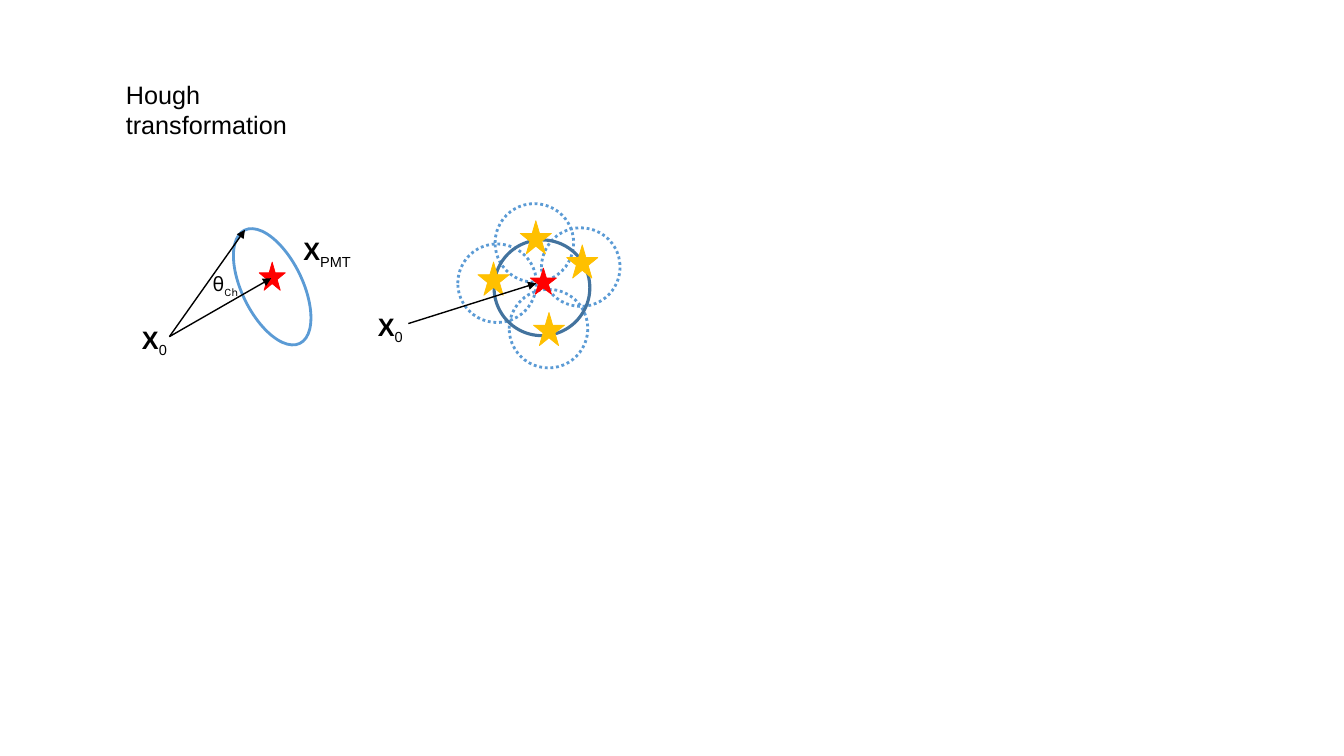
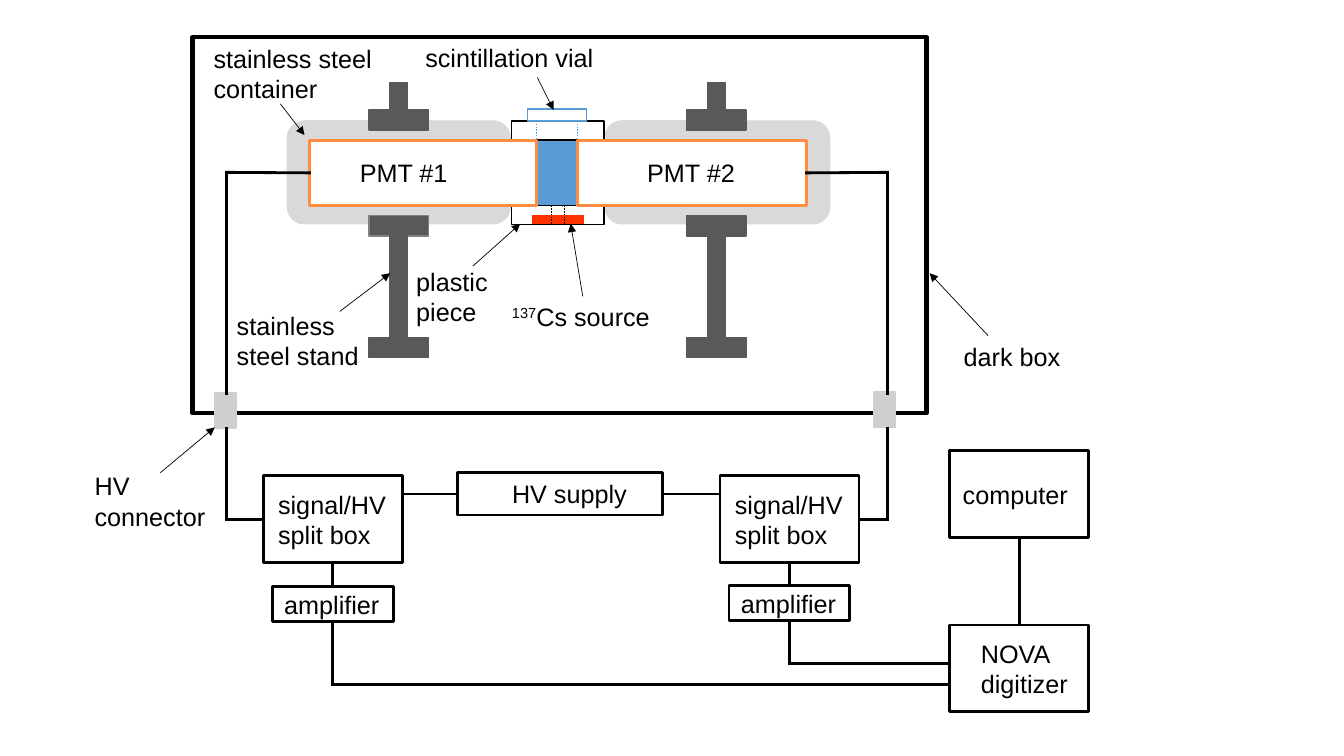
"""Builds two slides: a Hough transformation sketch and a photomultiplier test setup."""
from itertools import pairwise

from lxml import etree
from pptx import Presentation, util as u
from pptx.dml.color import RGBColor
from pptx.enum import dml, shapes, text
from pptx.oxml import ns

PX = 9144
SIZE = (1333, 750)
BLACK, WHITE, RED, GOLD = "000000", "FFFFFF", "FF0000", "FFC000"
BLUE, DEEP_BLUE, ORANGE, SOURCE_RED = "5B9BD5", "43739E", "FF8D41", "FF3300"
STEEL, STEEL_EDGE, SHELL, SOCKET = "595959", "808080", "D9D9D9", "D0CECE"
SHAPE = shapes.MSO_SHAPE
BOLD_X = ("X", True, 0)
X_ZERO = [[BOLD_X, ("0", False, -25)]]
X_PMT = [[BOLD_X, ("PMT", False, -25)]]
THETA = [[("θ", False, 0), ("Ch", False, -25)]]

HOUGH_LABELS = [
    ((115, 74, 260, 40), ["Hough transformation"], False),
    ((131, 317, 57, 40), X_ZERO, True),
    ((291, 229, 74, 40), X_PMT, True),
    ((365, 304, 50, 40), X_ZERO, False),
]
CONE_EDGES = [((168, 334), (269, 276)), ((168, 334), (243, 228))]
VOTE_ARROW = ((405, 321), (532, 281))
VOTE_CIRCLES = [(454, 242), (505, 287), (537, 226), (491, 202)]
HIT_STARS = [(529, 310), (562, 243), (516, 219), (474, 260)]

SETUP_PARTS = [
    (SHAPE.RECTANGLE, (191, 37, 728, 373), None, BLACK, 3),
    (SHAPE.RECTANGLE, (532, 120, 40, 83), BLUE, BLUE, 1),
    (SHAPE.ROUNDED_RECTANGLE, (285, 120, 221, 102), SHELL, SHELL, 1),
    (SHAPE.ROUNDED_RECTANGLE, (600, 120, 223, 102), SHELL, SHELL, 1),
    (SHAPE.RECTANGLE, (507, 204, 92, 19), WHITE, BLACK, 1),
    (SHAPE.RECTANGLE, (507, 120, 92, 19), WHITE, BLACK, 1),
    (SHAPE.RECTANGLE, (307, 139, 225, 65), WHITE, ORANGE, 2),
    (SHAPE.RECTANGLE, (573, 139, 227, 65), WHITE, ORANGE, 2),
    (SHAPE.RECTANGLE, (528, 214, 51, 8), SOURCE_RED, SOURCE_RED, 1),
    (SHAPE.RECTANGLE, (523, 108, 59, 12), WHITE, BLUE, 1),
    (SHAPE.RECTANGLE, (213, 390, 21, 35), SOCKET, SOCKET, 1),
    (SHAPE.RECTANGLE, (867, 389, 21, 35), SOCKET, SOCKET, 1),
]
STANDS = [(366, STEEL_EDGE), (681, STEEL)]
CLAMP, SADDLE, FOOT = 109, 214, 335
POSTS = [(82, 38), (234, 106)]
DOTTED = [
    (547, 204, 222, BLACK), (560, 204, 222, BLACK),
    (532, 138, 120, BLUE), (573, 138, 120, BLUE),
]
DEVICES = [
    (454, 469, 203, 42),
    (270, 582, 120, 35), (723, 581, 120, 35),
    (261, 472, 138, 86), (714, 472, 138, 86),
    (942, 620, 138, 86), (942, 447, 138, 86),
]
WIRES = [
    [(307, 171), (225, 171), (225, 390)],
    [(225, 425), (225, 515), (261, 515)],
    [(800, 171), (880, 171), (880, 390)],
    [(880, 425), (880, 515), (852, 515)],
    [(399, 490), (454, 490)],
    [(657, 490), (714, 490)],
    [(330, 582), (330, 558)],
    [(783, 581), (783, 558)],
    [(330, 617), (330, 679), (942, 679)],
    [(783, 616), (783, 658), (942, 658)],
    [(1011, 620), (1011, 533)],
]
POINTERS = [
    ((159, 469), (213, 424)), ((980, 333), (922, 271)),
    ((578, 294), (566, 222)), ((533, 77), (549, 109)),
    ((469, 264), (516, 222)), ((278, 103), (302, 134)),
    ((337, 309), (387, 271)),
]
AMPLIFIER, SPLIT_BOX = ["amplifier"], ["signal/HV", "split box"]
SETUP_LABELS = [
    ((946, 334, 116, 40), ["dark box"], False),
    ((84, 462, 130, 71), ["HV", "connector"], False),
    ((347, 151, 107, 40), ["PMT #1"], False),
    ((632, 151, 107, 40), ["PMT #2"], False),
    ((498, 294, 160, 40), [[("137", False, 30), ("Cs source", False, 0)]], False),
    ((412, 37, 187, 40), ["scintillation vial"], False),
    ((403, 259, 157, 40), ["plastic piece"], False),
    ((202, 38, 177, 71), ["stainless steel", "container"], False),
    ((225, 303, 146, 71), ["stainless steel stand"], True),
    ((272, 580, 118, 40), AMPLIFIER, True),
    ((725, 579, 118, 40), AMPLIFIER, True),
    ((266, 480, 127, 71), SPLIT_BOX, False),
    ((719, 480, 127, 71), SPLIT_BOX, False),
    ((498, 470, 222, 40), ["HV supply"], True),
    ((963, 628, 132, 71), ["NOVA", "digitizer"], True),
    ((945, 471, 132, 40), ["computer"], True),
]


def rgb(value):
    return RGBColor.from_string(value)


def emu(lengths):
    return [u.Emu(length * PX) for length in lengths]


def style_line(line, color, width, dotted=False):
    line.color.rgb = rgb(color)
    line.width = u.Pt(width)
    if dotted:
        line.dash_style = dml.MSO_LINE.ROUND_DOT


def add_part(slide, preset, box, fill, color, width, dotted=False):
    part = slide.shapes.add_shape(preset, *emu(box))
    part.shadow.inherit = False
    if fill:
        part.fill.solid()
        part.fill.fore_color.rgb = rgb(fill)
    else:
        part.fill.background()
    style_line(part.line, color, width, dotted)
    return part


def add_line(slide, start, end, color=BLACK, width=1.0, dotted=False, arrow=False):
    line = slide.shapes.add_connector(shapes.MSO_CONNECTOR.STRAIGHT, *emu(start + end))
    style_line(line.line, color, width, dotted)
    outline = line.get_or_add_ln()
    if arrow:
        etree.SubElement(outline, ns.qn("a:tailEnd"), type="triangle")
    elif not dotted:
        outline.set("cap", "sq")
    etree.SubElement(outline.getparent(), ns.qn("a:effectLst"))
    return line


def add_label(slide, box, lines, wrap, font="Arial", size=18):
    frame = slide.shapes.add_textbox(*emu(box)).text_frame
    frame.word_wrap = wrap
    frame.auto_size = text.MSO_AUTO_SIZE.SHAPE_TO_FIT_TEXT
    for number, line in enumerate(lines):
        paragraph = frame.add_paragraph() if number else frame.paragraphs[0]
        paragraph.font.name = font
        paragraph.font.size = u.Pt(size)
        paragraph.font.color.rgb = rgb(BLACK)
        for words, bold, baseline in [(line, False, 0)] if isinstance(line, str) else line:
            run = paragraph.add_run()
            run.text = words
            if bold:
                run.font.bold = True
            if baseline:
                run._r.get_or_add_rPr().set("baseline", str(baseline * 1000))


def find_side(point, parts):
    for part in parts:
        x, y, w, h = (v / PX for v in (part.left, part.top, part.width, part.height))
        middles = [(x + w / 2, y), (x, y + h / 2), (x + w / 2, y + h), (x + w, y + h / 2)]
        for side, (mx, my) in enumerate(middles):
            if abs(mx - point[0]) <= 1 and abs(my - point[1]) <= 1:
                return part, side
    return None


def add_wire(slide, points, parts):
    for start, end in pairwise(points):
        segment = add_line(slide, start, end, width=2)
        begin_side, end_side = find_side(start, parts), find_side(end, parts)
        if begin_side:
            segment.begin_connect(*begin_side)
        if end_side:
            segment.end_connect(*end_side)


def build_hough(slide):
    ring = add_part(slide, SHAPE.OVAL, (240, 222, 60, 125), None, BLUE, 2)
    ring.rotation = 334
    add_part(slide, SHAPE.STAR_5_POINT, (257, 260, 26, 28), RED, RED, 0.5)
    for start, end in CONE_EDGES:
        add_line(slide, start, end, arrow=True)
    for x, y in VOTE_CIRCLES:
        add_part(slide, SHAPE.OVAL, (x, y, 78, 78), None, BLUE, 2, dotted=True)
    add_part(slide, SHAPE.STAR_5_POINT, (526, 266, 26, 26), RED, RED, 0.5)
    add_part(slide, SHAPE.OVAL, (490, 238, 95, 95), None, DEEP_BLUE, 2.25)
    for x, y in HIT_STARS:
        add_part(slide, SHAPE.STAR_5_POINT, (x, y, 31, 33), GOLD, GOLD, 0.5)
    add_line(slide, *VOTE_ARROW, arrow=True)
    for label in HOUGH_LABELS:
        add_label(slide, *label)
    add_label(slide, (201, 265, 59, 34), THETA, True, "Karla", 14)


def build_setup(slide):
    parts = [add_part(slide, *part) for part in SETUP_PARTS]
    for x, saddle_edge in STANDS:
        for y, edge in [(CLAMP, STEEL), (SADDLE, saddle_edge), (FOOT, STEEL)]:
            add_part(slide, SHAPE.RECTANGLE, (x, y, 59, 20), STEEL, edge, 1)
        for y, height in POSTS:
            add_part(slide, SHAPE.RECTANGLE, (x + 21, y, 17, height), STEEL, STEEL, 1)
    for x, top, bottom, color in DOTTED:
        add_line(slide, (x, top), (x, bottom), color, dotted=True)
    parts += [add_part(slide, SHAPE.RECTANGLE, box, None, BLACK, 2) for box in DEVICES]
    for points in WIRES:
        add_wire(slide, points, parts)
    for start, end in POINTERS:
        add_line(slide, start, end, width=0.5, arrow=True)
    for label in SETUP_LABELS:
        add_label(slide, *label)


def main():
    deck = Presentation()
    deck.slide_width, deck.slide_height = emu(SIZE)
    for build in (build_hough, build_setup):
        build(deck.slides.add_slide(deck.slide_layouts[6]))
    deck.save("out.pptx")


if __name__ == "__main__":
    main()
